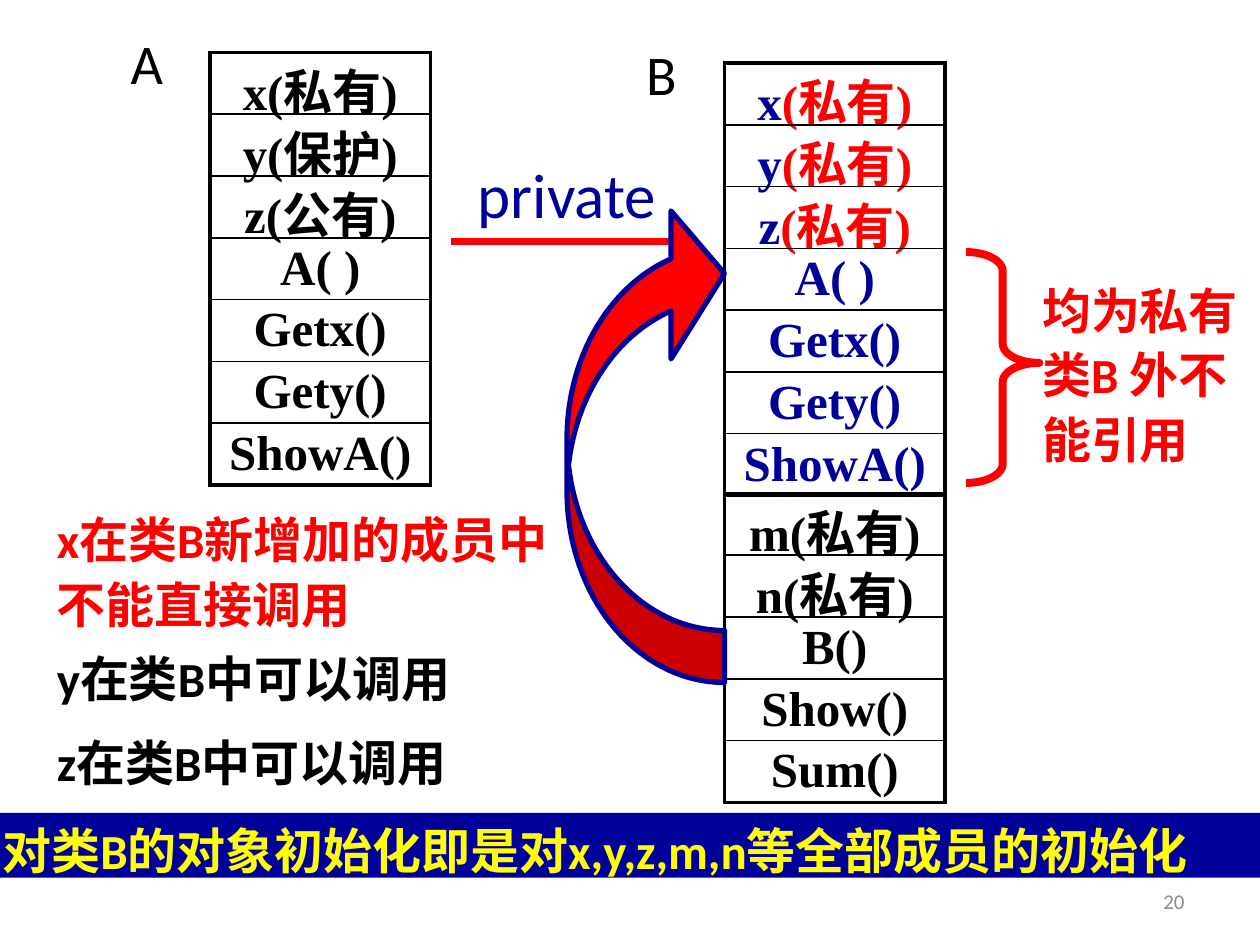
from lxml import etree
from pptx import Presentation
from pptx.dml.color import RGBColor
from pptx.enum.shapes import MSO_CONNECTOR, MSO_SHAPE
from pptx.enum.text import MSO_ANCHOR, MSO_AUTO_SIZE, PP_ALIGN
from pptx.oxml.ns import qn
from pptx.util import Pt

LEFT, CENTER, RIGHT = PP_ALIGN.LEFT, PP_ALIGN.CENTER, PP_ALIGN.RIGHT
MIDDLE = MSO_ANCHOR.MIDDLE
BLACK, RED, NAVY, YELLOW, GREY = "000000", "FF0000", "000099", "FFFF00", "8C8C8C"
ROW_H, COL_W = 35.3, 126
INSETS = (1.5, 0.75)

# Member lists: left, top, rows; each row is a list of (text, colour) runs
METHODS = ["A( )", "Getx()", "Gety()", "ShowA()"]
MEMBER_TABLES = [
    (120, 30, [[(t, BLACK)] for t in ["x(私有)", "y(保护)", "z(公有)"] + METHODS]),
    (414, 36, [[(t, NAVY), ("(私有)", RED)] for t in "xyz"]
     + [[(t, NAVY)] for t in METHODS]),
    (414, 282, [[(t, BLACK)] for t in ["m(私有)", "n(私有)", "B()", "Show()", "Sum()"]]),
]

# Text, (left, top, width, height), size, colour, bold, alignment
LABELS = [
    ("A", (66, 12, 36, 45), 32, BLACK, False, CENTER),
    ("B", (360, 18, 36, 45), 32, BLACK, False, CENTER),
    ("private", (264, 84, 120, 50), 36, NAVY, False, CENTER),
    ("x在类B新增加的成员中不能直接调用", (31, 287, 289.5, 76), 28, RED, True, LEFT),
    ("y在类B中可以调用", (31, 366.5, 360, 37), 28, BLACK, True, LEFT),
    ("z在类B中可以调用", (31, 414.5, 360, 37), 28, BLACK, True, LEFT),
    ("均为私有类B 外不能引用", (594, 156, 126, 113), 28, RED, True, LEFT),
]
BANNER = ("对类B的对象初始化即是对x,y,z,m,n等全部成员的初始化",
          (0, 464.5, 720, 37), 28, YELLOW, True, LEFT)


def rgb(value):
    return RGBColor.from_string(value)


def box(values):
    return [Pt(v) for v in values]


def style(run, size, color, bold=False, name="Calibri"):
    f = run.font
    f.size, f.bold, f.name = Pt(size), bold, name
    f.color.rgb = rgb(color)


def set_insets(target):
    """Apply the narrow margins to a text frame or a table cell."""
    target.margin_left = target.margin_right = Pt(INSETS[0])
    target.margin_top = target.margin_bottom = Pt(INSETS[1])


def write(sp, text, size, color, bold, align):
    tf = sp.text_frame
    tf.word_wrap = True
    tf.auto_size = MSO_AUTO_SIZE.SHAPE_TO_FIT_TEXT
    tf.vertical_anchor = MSO_ANCHOR.TOP
    set_insets(tf)
    tf.text = text
    p = tf.paragraphs[0]
    p.alignment, p.line_spacing = align, 1.1
    style(p.runs[0], size, color, bold)


def set_borders(cell, **widths):
    """Draw black cell borders; keys are L, R, T and B."""
    tc_pr = cell._tc.get_or_add_tcPr()
    for side, width in widths.items():
        ln = etree.SubElement(tc_pr, qn(f"a:ln{side}"), w=str(Pt(width)))
        fill = etree.SubElement(ln, qn("a:solidFill"))
        etree.SubElement(fill, qn("a:srgbClr"), val=BLACK)


def add_members(shapes, left, top, rows):
    n = len(rows)
    table = shapes.add_table(n, 1, *box((left, top, COL_W, n * ROW_H))).table
    table.first_row = table.horz_banding = False
    table.columns[0].width = Pt(COL_W)
    for i, runs in enumerate(rows):
        table.rows[i].height = Pt(ROW_H)
        cell = table.cell(i, 0)
        set_insets(cell)
        cell.vertical_anchor = MIDDLE
        set_borders(cell, L=2.25, R=2.25, T=2.25 if i == 0 else 1,
                    B=2.25 if i == n - 1 else 1)
        cell.fill.background()
        p = cell.text_frame.paragraphs[0]
        p.alignment = CENTER
        for text, color in runs:
            r = p.add_run()
            r.text = text
            style(r, 28, color, True, "Times New Roman")


def add_preset(shapes, kind, position, fill=None, line=None, width=0, adj=()):
    sp = shapes.add_shape(kind, *box(position))
    sp.shadow.inherit = False
    if fill:
        sp.fill.solid()
        sp.fill.fore_color.rgb = rgb(fill)
    else:
        sp.fill.background()
    if line:
        sp.line.color.rgb = rgb(line)
        sp.line.width = Pt(width)
    else:
        sp.line.fill.background()
    for i, value in enumerate(adj):
        sp.adjustments[i] = value
    return sp


def add_arrow(shapes, x1, y1, x2, y2, color, width):
    line = shapes.add_connector(MSO_CONNECTOR.STRAIGHT, *box((x1, y1, x2, y2)))
    line.line.color.rgb = rgb(color)
    line.line.width = Pt(width)
    etree.SubElement(line.line._get_or_add_ln(), qn("a:tailEnd"), type="triangle")
    etree.SubElement(line._element.spPr, qn("a:effectLst"))


def main():
    prs = Presentation()
    prs.slide_width, prs.slide_height = Pt(720), Pt(540)
    shapes = prs.slides.add_slide(prs.slide_layouts[6]).shapes

    page = shapes.add_textbox(*box((516, 500.5, 168, 28.75))).text_frame
    page.word_wrap = True
    page.vertical_anchor = MIDDLE
    page.text = "20"
    page.paragraphs[0].alignment = RIGHT
    style(page.paragraphs[0].runs[0], 12, GREY)

    for members in MEMBER_TABLES:
        add_members(shapes, *members)
    add_arrow(shapes, 258, 138, 396, 138, RED, 4.5)
    for text, position, *look in LABELS:
        write(shapes.add_textbox(*box(position)), text, *look)

    text, position, *look = BANNER
    write(add_preset(shapes, MSO_SHAPE.RECTANGLE, position, NAVY), text, *look)
    add_preset(shapes, MSO_SHAPE.RIGHT_BRACE, (552, 144, 42, 132),
               line=RED, width=4.5, adj=(0.26, 0.48))
    curve = add_preset(shapes, MSO_SHAPE.CURVED_LEFT_ARROW, (324, 114, 90, 276),
                       RED, NAVY, 3, (0.33, 0.94, 0.34))
    curve.rotation = 180
    prs.save("out.pptx")


if __name__ == "__main__":
    main()
